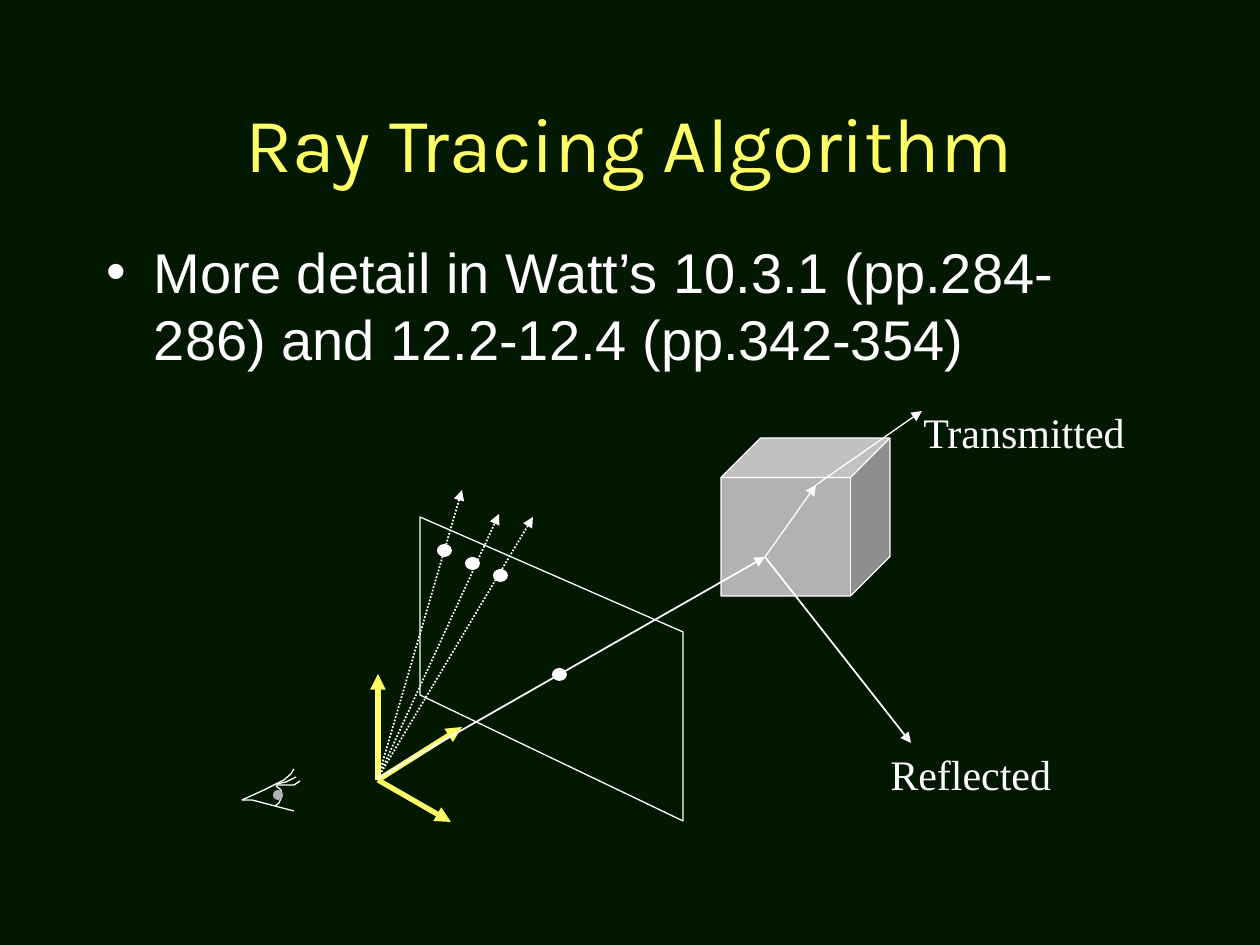
from lxml.etree import SubElement
from pptx import Presentation
from pptx.dml.color import RGBColor
from pptx.enum.dml import MSO_LINE
from pptx.enum.shapes import MSO_CONNECTOR, MSO_SHAPE
from pptx.enum.text import MSO_ANCHOR, MSO_AUTO_SIZE, PP_ALIGN
from pptx.oxml.ns import qn
from pptx.util import Pt

PX = 914400 // 126
BACKGROUND = RGBColor(0x02, 0x18, 0x00)
YELLOW = RGBColor(0xFF, 0xFF, 0x66)
WHITE = RGBColor(0xFF, 0xFF, 0xFF)
GRAY = RGBColor(0xB2, 0xB2, 0xB2)


def add_text(sp, box, text, font, size, color):
    """Place a text shape and write one run into it."""
    sp.left, sp.top, sp.width, sp.height = [v * PX for v in box]
    p = sp.text_frame.paragraphs[0]
    r = p.add_run()
    r.text = text
    r.font.name, r.font.size = font, Pt(size)
    r.font.color.rgb = color
    return p


def add_solid(kind, box, fill):
    """Draw a filled preset shape without an outline."""
    sp = slide.shapes.add_shape(kind, *[v * PX for v in box])
    sp.shadow.inherit = False
    sp.fill.solid()
    sp.fill.fore_color.rgb = fill
    sp.line.fill.background()
    return sp


prs = Presentation()
prs.slide_width, prs.slide_height = 1260 * PX, 945 * PX
slide = prs.slides.add_slide(prs.slide_layouts[1])
slide.background.fill.solid()
slide.background.fill.fore_color.rgb = BACKGROUND

# Title and list
title, body = slide.placeholders
p = add_text(title, (94, 84, 1071, 116), "Ray Tracing Algorithm", "Karla", 44, YELLOW)
p.alignment = PP_ALIGN.CENTER
title.text_frame.vertical_anchor = MSO_ANCHOR.MIDDLE
p = add_text(body, (94, 231, 1071, 609),
             "More detail in Watt’s 10.3.1 (pp.284-286) and 12.2-12.4 (pp.342-354)",
             "Arial", 32, WHITE)
p.space_before = Pt(8)
for sp in (title, body):
    sp.text_frame.auto_size = MSO_AUTO_SIZE.NONE

# Cube
cube = add_solid(MSO_SHAPE.CUBE, (721, 438, 169, 158), GRAY)
cube.line.color.rgb = WHITE
cube.line.width = Pt(0.74)

# Eye and image plane
outlines = [
    ([(242, 800), (264, 790), (284, 780), (291, 774), (294, 769)], False),
    ([(242, 800), (252, 800), (294, 811)], False),
    ([(276, 786), (281, 790), (282, 796), (279, 803), (275, 806)], False),
    ([(276, 785), (294, 785), (300, 781)], False),
    ([(277, 784), (286, 782), (296, 777)], False),
    ([(420, 517), (683, 632), (683, 821), (420, 695)], True),
]
for points, closed in outlines:
    builder = slide.shapes.build_freeform(*points[0], scale=PX)
    builder.add_line_segments(points[1:], close=closed)
    sp = builder.convert_to_shape()
    sp.shadow.inherit = False
    sp.fill.background()
    sp.line.color.rgb = WHITE
    sp.line.width = Pt(0.74)
add_solid(MSO_SHAPE.OVAL, (273, 790, 10, 10), GRAY)

# Axes and rays
origin, ray_start, hit, exit_point = (378, 780), (378, 778), (765, 557), (816, 485)
arrows = [
    (origin, (462, 727), YELLOW, 3, None),
    (origin, (378, 674), YELLOW, 3, None),
    (origin, (451, 822), YELLOW, 3, None),
    (ray_start, (462, 490), WHITE, 0.99, MSO_LINE.ROUND_DOT),
    (ray_start, (499, 514), WHITE, 0.99, MSO_LINE.ROUND_DOT),
    (ray_start, (533, 517), WHITE, 0.99, MSO_LINE.ROUND_DOT),
    (ray_start, hit, WHITE, 0.99, None),
    (hit, (911, 743), WHITE, 0.99, None),
    (hit, exit_point, WHITE, 0.74, None),
    (exit_point, (922, 411), WHITE, 0.74, None),
]
for start, end, color, width, dash in arrows:
    arrow = slide.shapes.add_connector(
        MSO_CONNECTOR.STRAIGHT, *[v * PX for v in start + end])
    arrow.line.color.rgb = color
    arrow.line.width = Pt(width)
    arrow.line.dash_style = dash
    SubElement(arrow.line._get_or_add_ln(), qn("a:tailEnd"), type="triangle")
    SubElement(arrow._element.spPr, qn("a:effectLst"))

# Pixels on the image plane
for x, y in [(437, 544), (465, 557), (493, 569), (552, 668)]:
    add_solid(MSO_SHAPE.OVAL, (x, y, 15, 13), WHITE)

# Ray labels
labels = [("Reflected", (878, 742, 188, 63)), ("Transmitted", (911, 400, 230, 63))]
for text, box in labels:
    sp = slide.shapes.add_textbox(0, 0, 0, 0)
    sp.text_frame.word_wrap = False
    sp.text_frame.auto_size = MSO_AUTO_SIZE.SHAPE_TO_FIT_TEXT
    add_text(sp, box, text, "Times New Roman", 24, WHITE)

prs.save("out.pptx")
